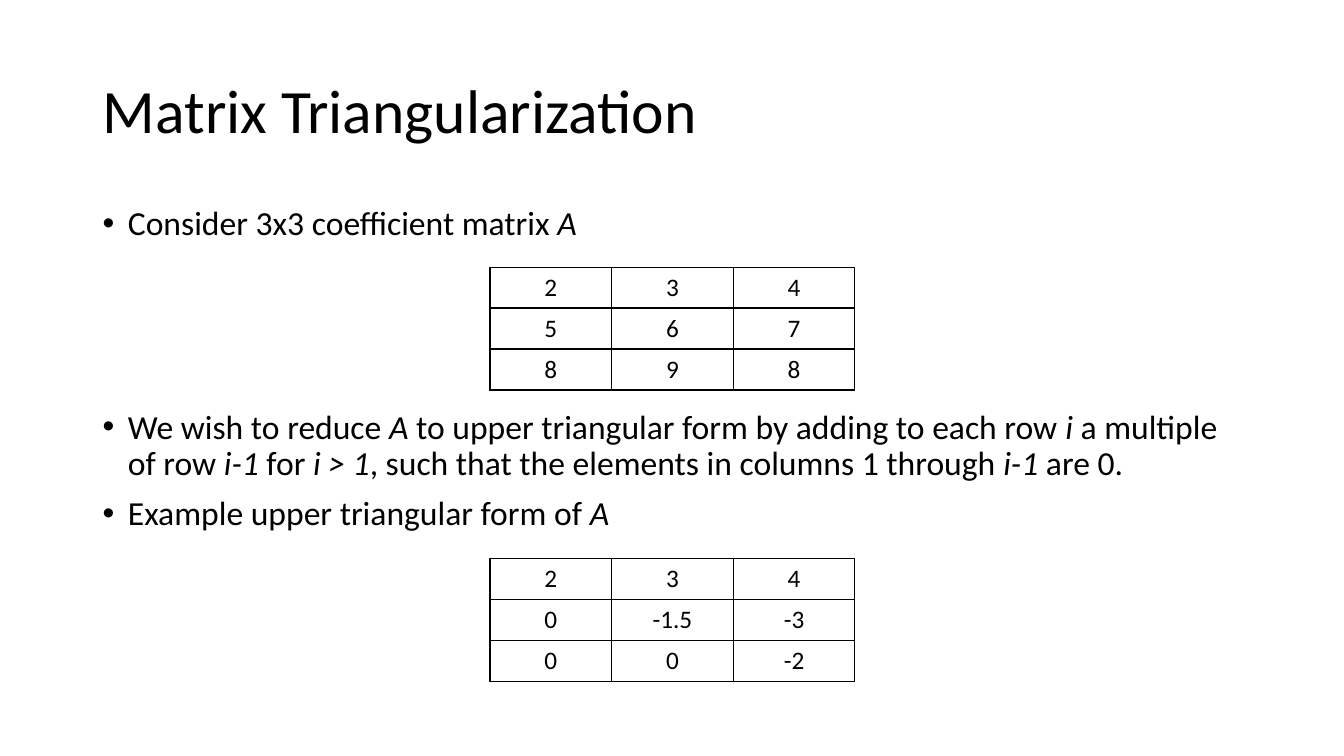
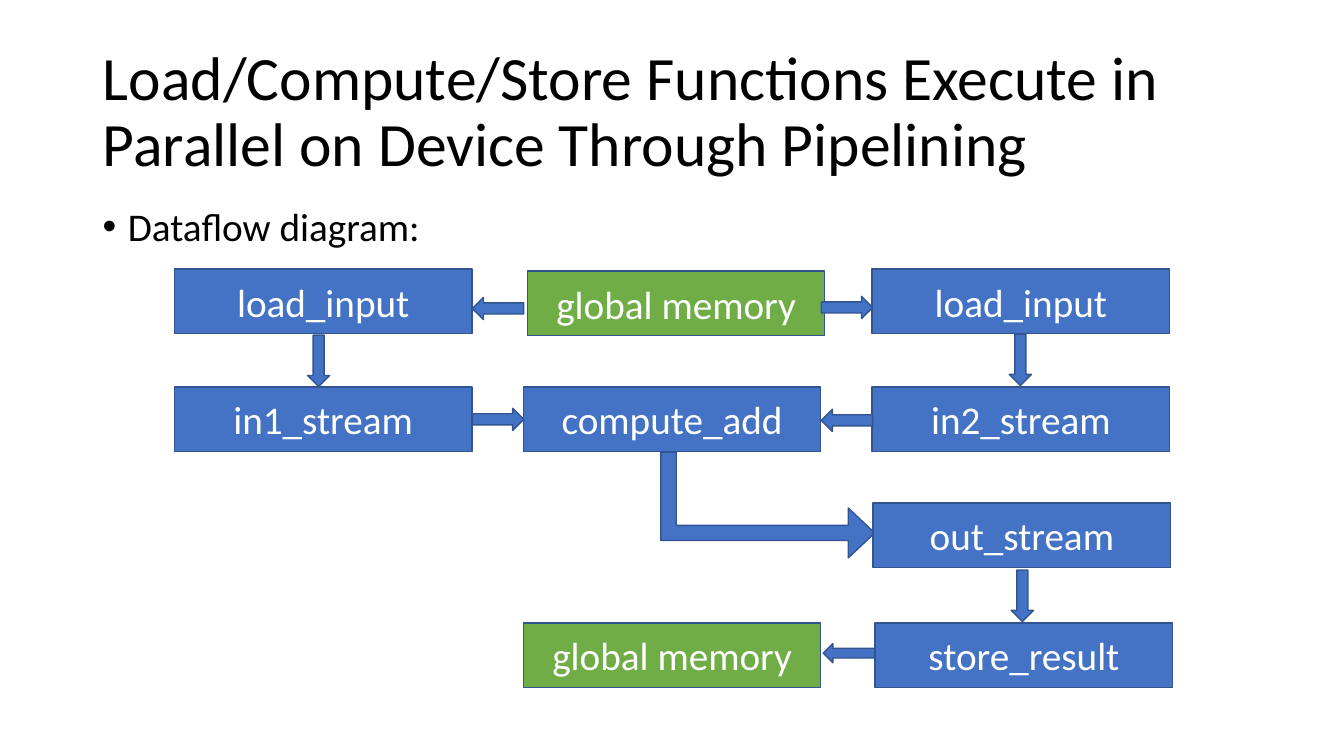
from lxml import etree
from pptx import Presentation
from pptx.dml.color import RGBColor
from pptx.enum.shapes import MSO_SHAPE
from pptx.enum.text import MSO_ANCHOR, MSO_AUTO_SIZE, PP_ALIGN
from pptx.oxml.ns import qn
from pptx.util import Inches, Pt

FONT = "Calibri"
COLORS = {
    "text": "000000",
    "light": "FFFFFF",
    "process": "4472C4",
    "memory": "70AD47",
    "outline": "325491",
}
LEFT, CENTER = PP_ALIGN.LEFT, PP_ALIGN.CENTER
MIDDLE, TOP = MSO_ANCHOR.MIDDLE, MSO_ANCHOR.TOP
NO_FIT = MSO_AUTO_SIZE.NONE
PROCESS, ARROW, BENT_ARROW = (
    MSO_SHAPE.FLOWCHART_PROCESS, MSO_SHAPE.RIGHT_ARROW, MSO_SHAPE.BENT_UP_ARROW)
TITLE_ONLY = 5
MARGIN, CONTENT_WIDTH = 0.92, 11.5
BOX_WIDTH, BOX_HEIGHT = 2.95, 0.64
ARROW_LENGTH = 0.51
RIGHT, DOWN, BACK = 0, 90, 180


def rgb(name):
    return RGBColor.from_string(COLORS[name])


def add_span(para, text, size, color="text", italic=False):
    span = para.add_run()
    span.text = text
    span.font.name = FONT
    span.font.size = Pt(size)
    span.font.italic = italic
    span.font.color.rgb = rgb(color)


def add_titled_slide(deck, title):
    page = deck.slides.add_slide(deck.slide_layouts[TITLE_ONLY])
    box = page.shapes.title
    box.left, box.top = Inches(MARGIN), Inches(0.4)
    box.width, box.height = Inches(CONTENT_WIDTH), Inches(1.45)
    frame = box.text_frame
    frame.auto_size = NO_FIT
    frame.word_wrap = True
    frame.vertical_anchor = MIDDLE
    para = frame.paragraphs[0]
    para.alignment = LEFT
    para.line_spacing = 0.9
    add_span(para, title, 44)
    return page


def set_bullet(para):
    props = para._p.get_or_add_pPr()
    props.set("marL", str(Inches(0.25)))
    props.set("indent", str(-Inches(0.25)))
    etree.SubElement(props, qn("a:buFont"), typeface="Arial")
    etree.SubElement(props, qn("a:buChar"), char="•")


def add_bullets(page, top, height, size, items):
    box = page.shapes.add_textbox(
        Inches(MARGIN), Inches(top), Inches(CONTENT_WIDTH), Inches(height))
    frame = box.text_frame
    frame.word_wrap = True
    frame.vertical_anchor = TOP
    for index, spans in enumerate(items):
        para = frame.add_paragraph() if index else frame.paragraphs[0]
        set_bullet(para)
        para.line_spacing = 0.9
        para.space_before = Pt(10 if index else 0)
        for position, text in enumerate(spans):
            add_span(para, text, size, italic=position % 2 == 1)


def set_borders(cell):
    props = cell._tc.get_or_add_tcPr()
    for side in ("lnL", "lnR", "lnT", "lnB"):
        line = etree.SubElement(props, qn(f"a:{side}"), w=str(Pt(1)))
        fill = etree.SubElement(line, qn("a:solidFill"))
        etree.SubElement(fill, qn("a:srgbClr"), val=COLORS["text"])


def add_matrix(page, top, rows):
    table = page.shapes.add_table(
        len(rows), len(rows[0]), Inches(4.86), Inches(top),
        Inches(3.62), Inches(1.22)).table
    table.first_row = False
    table.horz_banding = False
    for row, values in enumerate(rows):
        for column, value in enumerate(values):
            cell = table.cell(row, column)
            set_borders(cell)
            cell.fill.background()
            para = cell.text_frame.paragraphs[0]
            para.alignment = CENTER
            add_span(para, str(value), 18)


def add_filled_shape(page, kind, left, top, width, height, color="process"):
    shape = page.shapes.add_shape(
        kind, Inches(left), Inches(top), Inches(width), Inches(height))
    shape.shadow.inherit = False
    shape.fill.solid()
    shape.fill.fore_color.rgb = rgb(color)
    shape.line.color.rgb = rgb("outline")
    shape.line.width = Pt(1)
    return shape


def add_box(page, label, left, top, color="process"):
    box = add_filled_shape(page, PROCESS, left, top, BOX_WIDTH, BOX_HEIGHT, color)
    frame = box.text_frame
    frame.word_wrap = True
    frame.vertical_anchor = MIDDLE
    para = frame.paragraphs[0]
    para.alignment = CENTER
    add_span(para, label, 28, "light")


def add_arrow(page, center_x, center_y, direction, thickness=0.22):
    arrow = add_filled_shape(
        page, ARROW, center_x - ARROW_LENGTH / 2, center_y - thickness / 2,
        ARROW_LENGTH, thickness)
    arrow.rotation = direction


def add_bent_arrow(page):
    arrow = add_filled_shape(page, BENT_ARROW, 7.09, 3.95, 1.05, 2.12)
    arrow.rotation = DOWN
    for index, value in enumerate((0.144, 0.236, 0.25)):
        arrow.adjustments[index] = value


def build_matrix_slide(deck):
    page = add_titled_slide(deck, "Matrix Triangularization")
    add_bullets(page, 2, 0.5, 24, [("Consider 3x3 coefficient matrix ", "A")])
    add_bullets(page, 4.02, 1.5, 24, [
        ("We wish to reduce ", "A",
         " to upper triangular form by adding to each row ", "i",
         " a multiple of row ", "i-1", " for ", "i > 1",
         ", such that the elements in columns 1 through ", "i-1", " are 0."),
        ("Example upper triangular form of ", "A"),
    ])
    add_matrix(page, 2.65, [(2, 3, 4), (5, 6, 7), (8, 9, 8)])
    add_matrix(page, 5.54, [(2, 3, 4), (0, -1.5, -3), (0, 0, -2)])


def build_dataflow_slide(deck):
    page = add_titled_slide(
        deck, "Load/Compute/Store Functions Execute in "
        "Parallel on Device Through Pipelining")
    add_bullets(page, 2.01, 0.55, 28, [("Dataflow diagram:",)])
    add_bent_arrow(page)
    left, middle, right = (1.73 + 3.46 * column for column in range(3))
    load, stream, output, store = 2.67, 3.84, 4.99, 6.18
    for label, x, y in (
        ("load_input", left, load),
        ("load_input", right, load),
        ("in1_stream", left, stream),
        ("compute_add", middle, stream),
        ("in2_stream", right, stream),
        ("out_stream", right + 0.01, output),
        ("store_result", right + 0.03, store),
    ):
        add_box(page, label, x, y)
    add_box(page, "global memory", middle + 0.04, load + 0.02, "memory")
    add_box(page, "global memory", middle, store, "memory")
    for x, y, direction in (
        (4.94, 3.06, BACK),
        (8.4, 3.05, RIGHT),
        (3.16, 3.58, DOWN),
        (10.12, 3.57, DOWN),
        (4.94, 4.16, RIGHT),
        (8.4, 4.17, BACK),
        (10.14, 5.91, DOWN),
    ):
        add_arrow(page, x, y, direction)
    add_arrow(page, 8.42, 6.48, BACK, 0.19)


def main():
    deck = Presentation()
    deck.slide_width, deck.slide_height = Inches(13.33), Inches(7.5)
    build_matrix_slide(deck)
    build_dataflow_slide(deck)
    deck.save("out.pptx")


if __name__ == "__main__":
    main()
